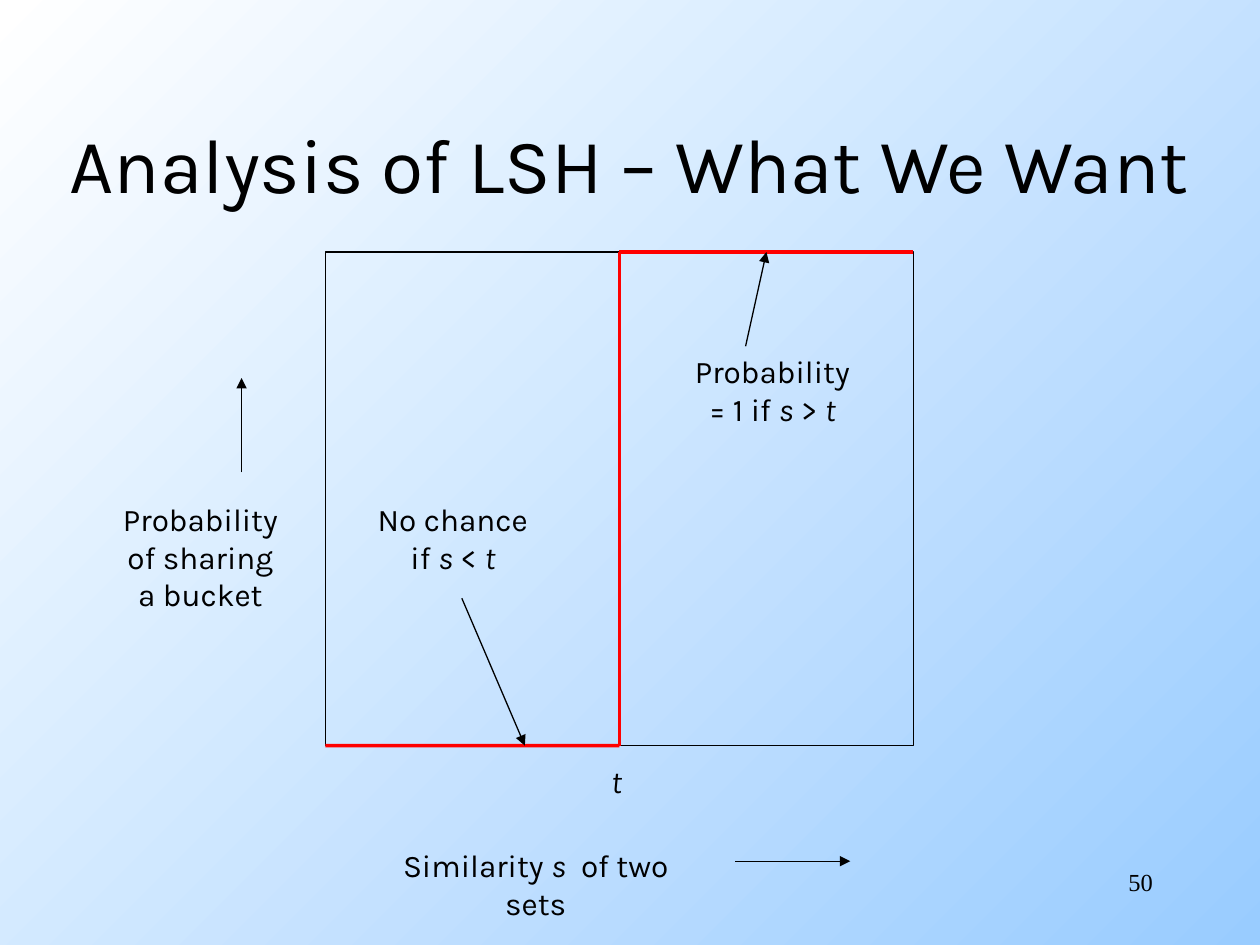
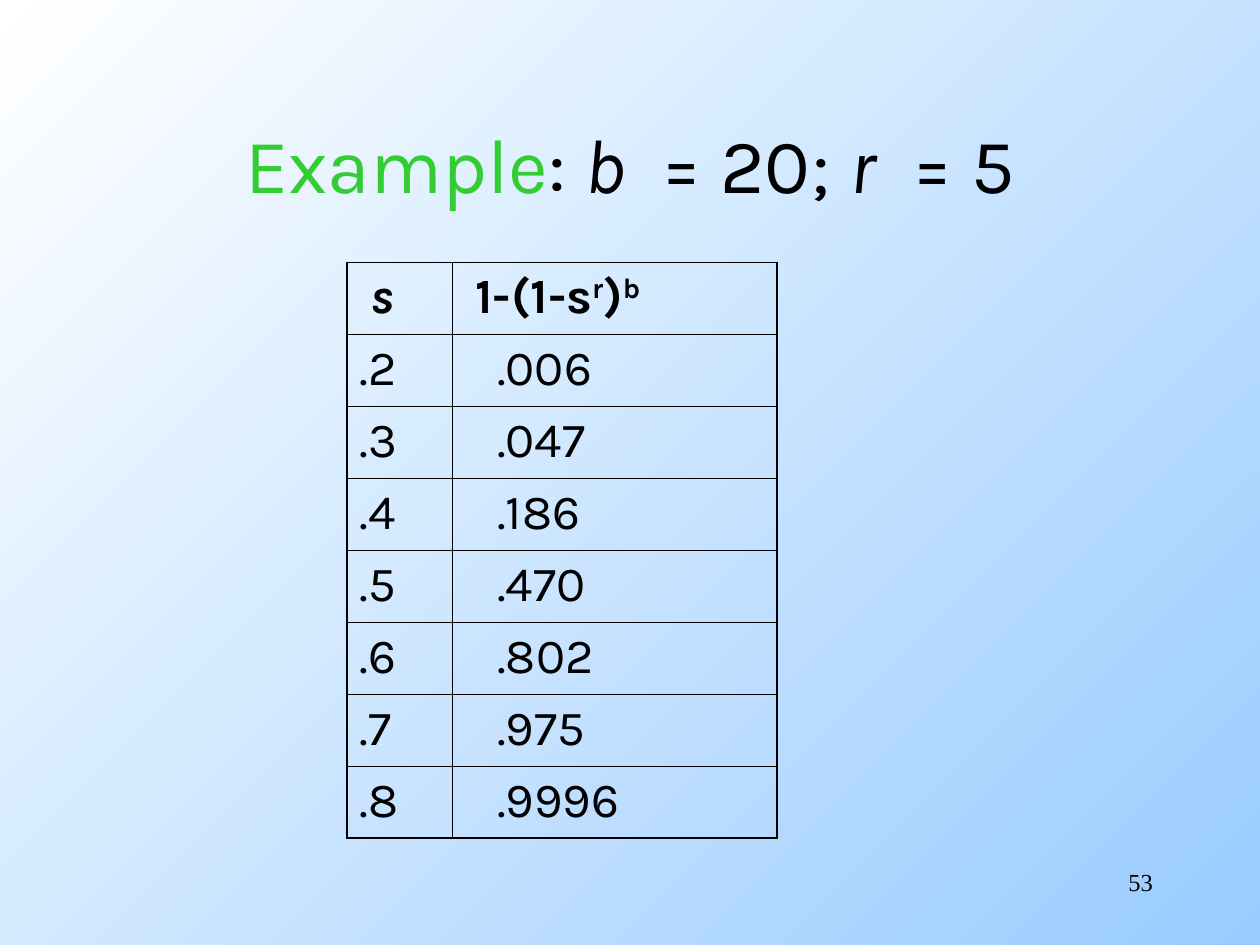
from lxml import etree
from pptx import Presentation
from pptx import util as u
from pptx.dml import color as dml
from pptx.enum import shapes, text
from pptx.oxml import ns

HUES = {"ink": "000000", "step": "FF0000", "key": "33CC33", "pale": "FFFFFF", "sky": "99CCFF"}
ALIGN = text.PP_ALIGN
SLANT = {"italic": True}
RAISE = {"raised": True}


def rgb(hue):
    return dml.RGBColor.from_string(HUES[hue])


def add_node(parent, tag, **attrs):
    return etree.SubElement(parent, ns.qn(tag), attrs)


def put_text(frame, lines, size=18, face="Karla", align=ALIGN.CENTER, bold=False, gap=0, indent=0):
    for i, line in enumerate(lines):
        para = frame.paragraphs[0] if i == 0 else frame.add_paragraph()
        para.alignment = align
        para.space_before = u.Pt(gap)
        if indent:
            para._p.get_or_add_pPr().set("marL", str(u.Cm(indent)))
        for part in [line] if isinstance(line, str) else line:
            words, look = (part, {}) if isinstance(part, str) else part
            run = para.add_run()
            run.text = words
            font = run.font
            font.size, font.name, font.bold = u.Pt(size), face, bold
            font.italic = look.get("italic", False)
            font.color.rgb = rgb(look.get("hue", "ink"))
            if look.get("raised"):
                run._r.get_or_add_rPr().set("baseline", "30000")


def add_box(slide, left, top, width, height, lines, wrap=True, middle=False, **look):
    frame = slide.shapes.add_textbox(u.Cm(left), u.Cm(top), u.Cm(width), u.Cm(height)).text_frame
    frame.word_wrap = wrap
    if middle:
        frame.vertical_anchor = text.MSO_ANCHOR.MIDDLE
    put_text(frame, lines, **look)


def add_label(slide, center, top, width, lines):
    add_box(slide, center - width / 2, top, width, 0.25 + 0.76 * len(lines), lines, wrap=False)


def add_line(slide, start, end, hue="ink", width=0.75, tip=False):
    line = slide.shapes.add_connector(shapes.MSO_CONNECTOR.STRAIGHT, *map(u.Cm, start + end))
    line.line.color.rgb = rgb(hue)
    line.line.width = u.Pt(width)
    if tip:
        add_node(line.line._get_or_add_ln(), "a:tailEnd", type="triangle")
    add_node(line._element.spPr, "a:effectLst")
    return line


def add_frame(slide, left, top, width, height):
    frame = slide.shapes.add_shape(shapes.MSO_SHAPE.RECTANGLE, *map(u.Cm, (left, top, width, height)))
    frame.shadow.inherit = False
    frame.fill.background()
    frame.line.color.rgb = rgb("ink")
    frame.line.width = u.Pt(0.75)
    return frame


def add_edges(cell, row, col, rows, cols):
    props = cell._tc.get_or_add_tcPr()
    outer = {"L": col == 0, "R": col == cols - 1, "T": row == 0, "B": row == rows - 1}
    for side, thick in outer.items():
        edge = add_node(props, f"a:ln{side}", w=str(u.Pt(1.08 if thick else 0.45)))
        fill = add_node(edge, "a:solidFill")
        add_node(fill, "a:srgbClr", val=HUES["ink"])


def add_grid(slide, left, top, widths, tall, data):
    rows, cols = len(data), len(widths)
    table = slide.shapes.add_table(rows, cols, u.Cm(left), u.Cm(top),
                                   u.Cm(sum(widths)), u.Cm(tall * rows)).table
    table.first_row = table.horz_banding = False
    for col, width in enumerate(widths):
        table.columns[col].width = u.Cm(width)
    for row, items in enumerate(data):
        table.rows[row].height = u.Cm(tall)
        for col, item in enumerate(items):
            cell = table.cell(row, col)
            add_edges(cell, row, col, rows, cols)
            cell.fill.background()
            indent = 0.22 if row == 0 else 0.66 * col
            put_text(cell.text_frame, [item], size=28, align=ALIGN.LEFT,
                     bold=row == 0, gap=7, indent=indent)


def add_slide(deck, title, number):
    slide = deck.slides.add_slide(deck.slide_layouts[6])
    add_box(slide, 18.21, 17.35, 5.28, 1.27, [number], size=14,
            face="Times New Roman", align=ALIGN.RIGHT)
    add_box(slide, 0, 1.7, 25.4, 3.18, [title], middle=True, size=44)
    return slide


def set_back(deck):
    fill = deck.slide_master.background.fill
    fill.gradient()
    fill.gradient_angle = 315
    for stop, hue, place in zip(fill.gradient_stops, ("pale", "sky"), (0, 1)):
        stop.color.rgb = rgb(hue)
        stop.position = place


def draw_goal(deck):
    slide = add_slide(deck, "Analysis of LSH – What We Want", "50")
    left, top, width, height = 6.56, 5.08, 11.85, 9.95
    mid, right, base = left + width / 2, left + width, top + height
    frame = add_frame(slide, left, top, width, height)

    red = {"hue": "step", "width": 2}
    low = add_line(slide, (left, base), (mid, base), **red)
    rise = add_line(slide, (mid, base), (mid, top), **red)
    high = add_line(slide, (mid, top), (right, top), **red)
    low.end_connect(frame, 2)
    rise.begin_connect(frame, 2)
    rise.end_connect(frame, 0)
    high.begin_connect(frame, 0)

    s, t = ("s", SLANT), ("t", SLANT)
    add_label(slide, 10.8, 16.93, 7.2, [["Similarity ", s, "  of two sets"]])
    add_label(slide, 4.04, 9.95, 3.7, ["Probability", "of sharing", "a bucket"])
    add_label(slide, 12.42, 15.24, 0.7, [[t]])
    add_label(slide, 9.13, 9.95, 3.6, ["No chance", ["if ", s, " < ", t]])
    add_label(slide, 15.57, 6.98, 3.7, ["Probability", ["= 1 if ", s, " > ", t]])

    for start, end in (
        ((14.82, 17.36), (17.14, 17.36)),
        ((4.87, 9.52), (4.87, 7.62)),
        ((9.31, 12.06), (10.58, base)),
        ((15.03, 6.98), (15.45, top)),
    ):
        add_line(slide, start, end, tip=True)


def draw_case(deck):
    title = [("Example", {"hue": "key"}), ": ", ("b", SLANT), "  = 20; ", ("r", SLANT), "  = 5"]
    slide = add_slide(deck, title, "53")
    head = [[("s", SLANT)], ["1-(1-s", ("r", RAISE), ")", ("b", RAISE)]]
    odds = [".006", ".047", ".186", ".470", ".802", ".975", ".9996"]
    data = [head] + [[f".{i}", odd] for i, odd in enumerate(odds, 2)]
    add_grid(slide, 6.99, 5.29, (2.12, 6.56), 1.45, data)


def main():
    deck = Presentation()
    deck.slide_width, deck.slide_height = u.Cm(25.4), u.Cm(19.05)
    set_back(deck)
    draw_goal(deck)
    draw_case(deck)
    deck.save("out.pptx")


if __name__ == "__main__":
    main()
